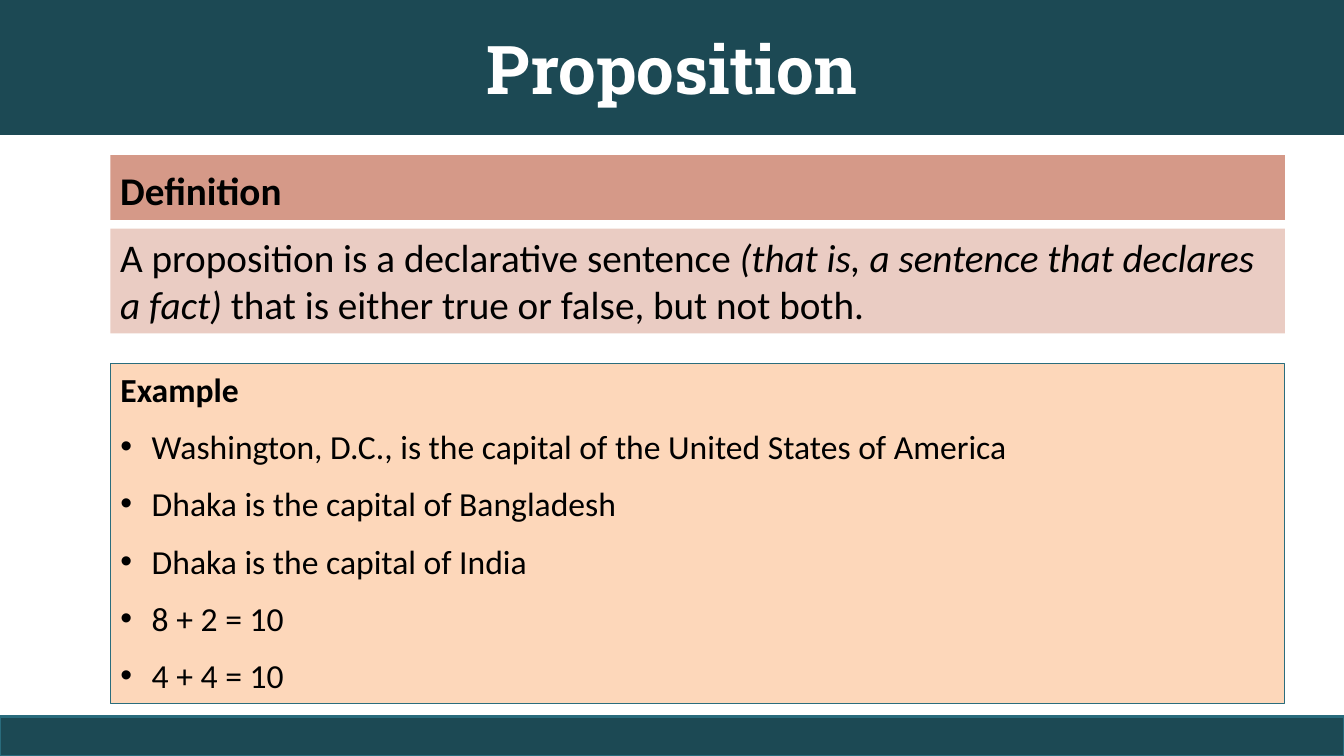
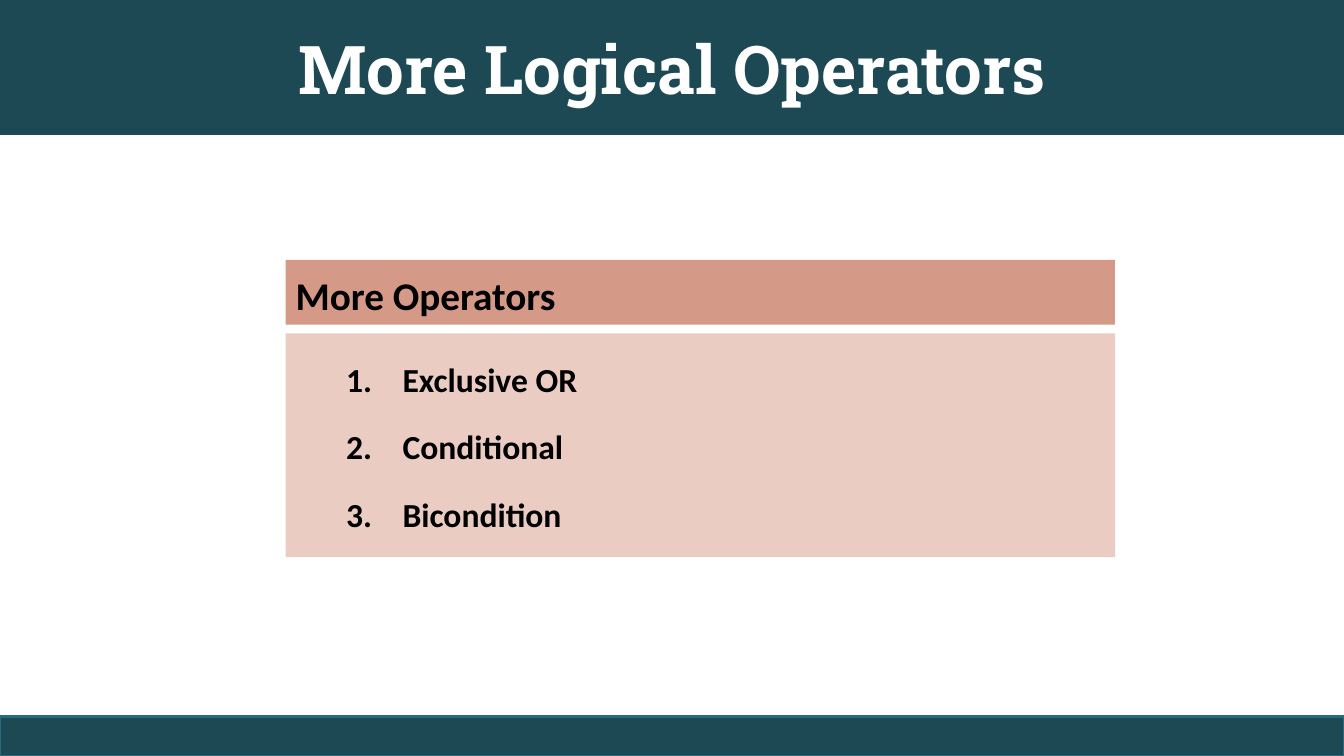
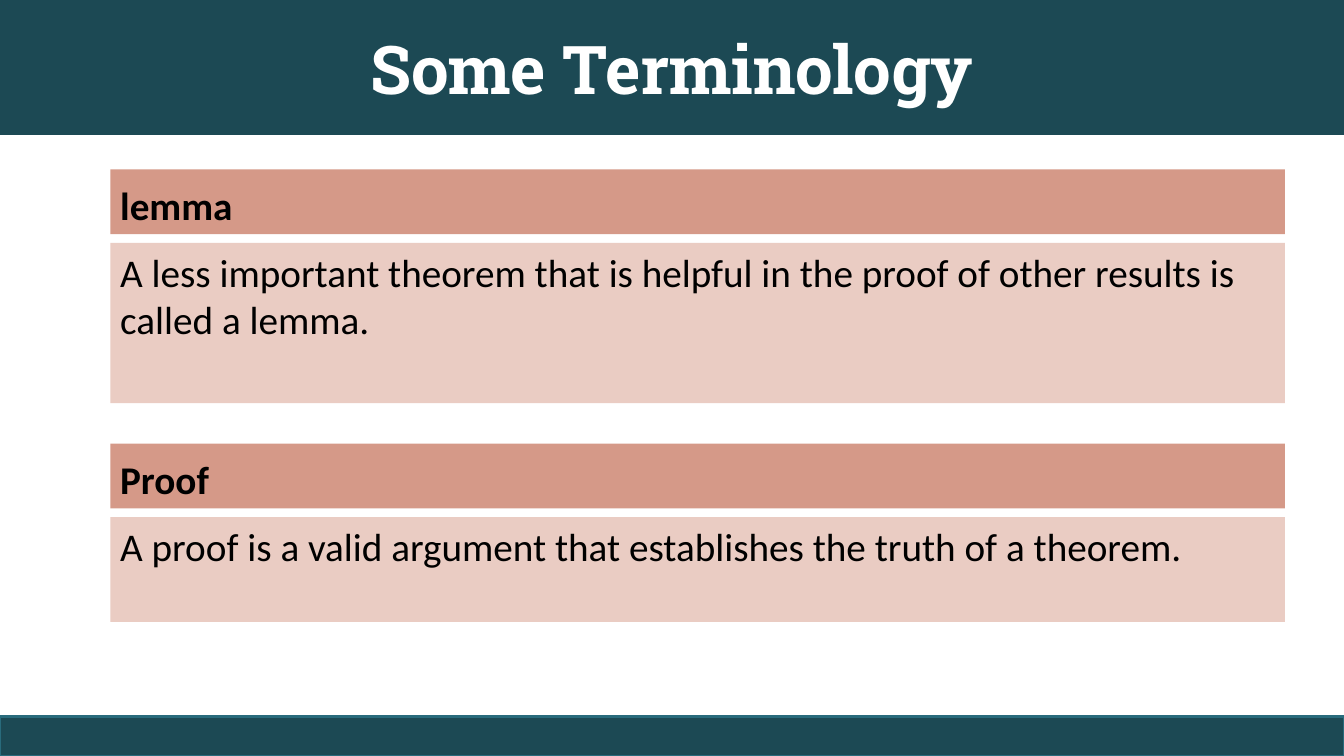
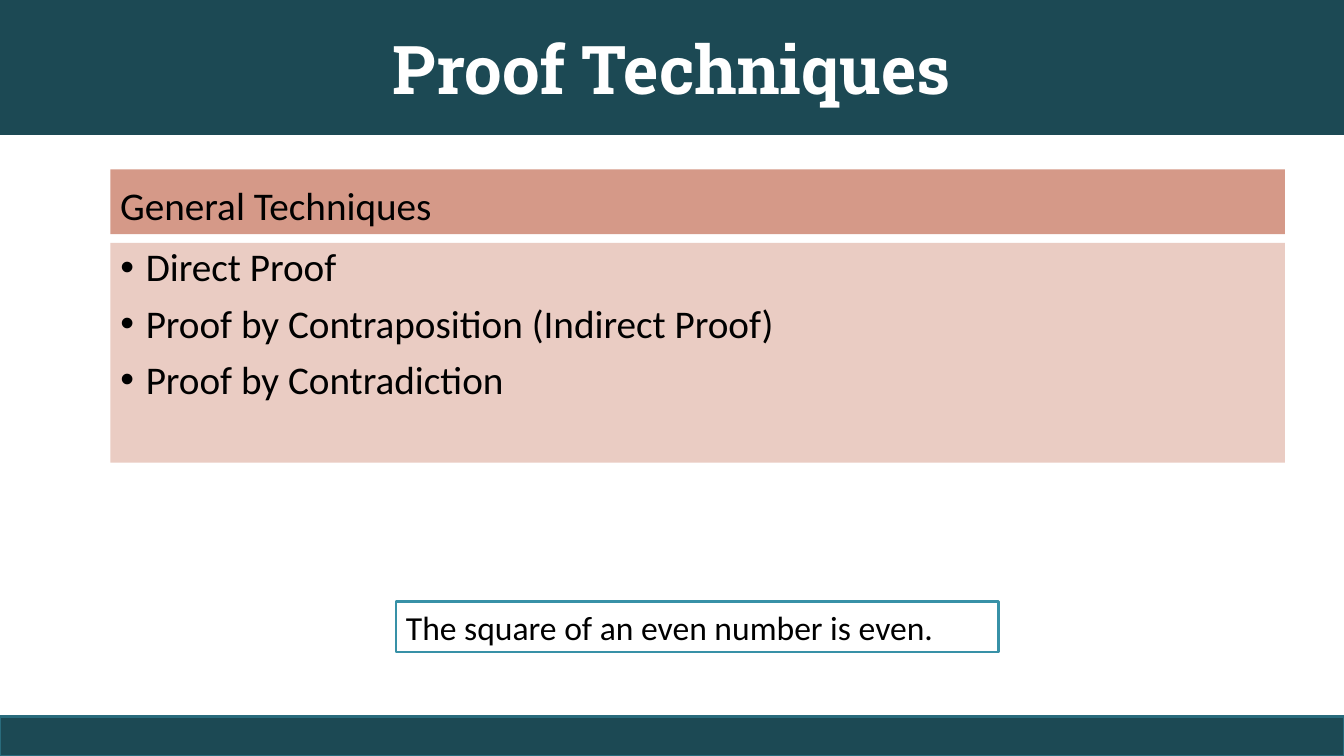
from lxml import etree
from pptx import Presentation
from pptx.dml.color import RGBColor
from pptx.enum.shapes import MSO_SHAPE as SHAPE
from pptx.enum.text import MSO_ANCHOR as ANCHOR, MSO_AUTO_SIZE as AUTO, PP_ALIGN as ALIGN
from pptx.oxml.ns import qn
from pptx.util import Cm, Pt

WIDTH, HEIGHT = 33.87, 19.05
TITLE_H, FOOTER_H = 3.4, 0.99
LEFT, CONTENT_W = 2.78, 29.6
HEADER_H, PANEL_DY = 1.63, 1.85


def rgb(value):
    return RGBColor.from_string(value)


class Deck:
    """Holds the shared style and the current slide."""
    BAND, BAND_LINE = "1C4954", "296B7C"
    HEADER, PANEL = "D59988", "EACCC3"
    EXAMPLE, EXAMPLE_LINE = "FDD7BA", "2A6D7D"
    NOTE_LINE, WHITE, BLACK = "3891A7", "FFFFFF", "000000"
    TITLE_FONT, BODY_FONT = "Roboto Slab", "Calibri"

    def __init__(self):
        self.prs = Presentation()
        self.prs.slide_width, self.prs.slide_height = Cm(WIDTH), Cm(HEIGHT)

    # Slide frame: title band and footer band
    def slide(self, title, has_list=True):
        layout = self.prs.slide_layouts[1 if has_list else 5]
        self.s = self.prs.slides.add_slide(layout)
        sp = self.s.shapes.title
        self.style(sp, (0, 0, WIDTH, TITLE_H), self.BAND)
        tf = sp.text_frame
        tf.vertical_anchor = ANCHOR.MIDDLE
        self.para(tf, title, 48, bold=True, font=self.TITLE_FONT,
                  color=self.WHITE, align=ALIGN.CENTER)
        self.box((0, HEIGHT - FOOTER_H, WIDTH, FOOTER_H), self.BAND, self.BAND_LINE, 2)

    # Position, fill, outline and text frame of any box
    def style(self, sp, at, fill, line=None, line_pt=1):
        sp.left, sp.top, sp.width, sp.height = map(Cm, at)
        sp.fill.solid()
        sp.fill.fore_color.rgb = rgb(fill)
        if line:
            sp.line.color.rgb = rgb(line)
            sp.line.width = Pt(line_pt)
        else:
            sp.line.fill.background()
        tf = sp.text_frame
        tf.word_wrap, tf.auto_size = True, AUTO.NONE
        tf.vertical_anchor = ANCHOR.TOP

    def box(self, at, fill, line=None, line_pt=1):
        sp = self.s.shapes.add_shape(SHAPE.RECTANGLE, *map(Cm, at))
        sp.shadow.inherit = False
        self.style(sp, at, fill, line, line_pt)
        return sp.text_frame

    # One paragraph; in a tuple of parts every second part is italic
    def para(self, tf, parts, size, bold=False, font=BODY_FONT, color=BLACK,
             align=ALIGN.LEFT, bullet=None, indent=0, hanging=0,
             before=0, after=0, spacing=1.0):
        first = not tf.text
        p = tf.paragraphs[0] if first else tf.add_paragraph()
        pPr = p._p.get_or_add_pPr()
        pPr.set("marL", str(Cm(indent)))
        pPr.set("indent", str(Cm(-hanging)))
        if bullet == "1.":
            etree.SubElement(pPr, qn("a:buFont")).set("typeface", font)
            etree.SubElement(pPr, qn("a:buAutoNum")).set("type", "arabicPeriod")
        elif bullet:
            etree.SubElement(pPr, qn("a:buFont")).set("typeface", "Arial")
            etree.SubElement(pPr, qn("a:buChar")).set("char", bullet)
        else:
            etree.SubElement(pPr, qn("a:buNone"))
        p.alignment, p.line_spacing = align, spacing
        p.space_before, p.space_after = Pt(0 if first else before), Pt(after)
        for i, text in enumerate([parts] if isinstance(parts, str) else parts):
            r = p.add_run()
            r.text = text
            r.font.name, r.font.size = font, Pt(size)
            r.font.bold, r.font.italic = bold, i % 2 == 1
            r.font.color.rgb = rgb(color)

    # Header bar above a panel
    def header(self, text, top, left=LEFT, width=CONTENT_W, bold=True):
        tf = self.box((left, top, width, HEADER_H), self.HEADER)
        self.para(tf, text, 28, bold=bold, spacing=1.14)

    def definition(self, term, parts, top, height):
        self.header(term, top)
        tf = self.box((LEFT, top + PANEL_DY, CONTENT_W, height), self.PANEL)
        self.para(tf, parts, 28, after=6)

    # List in the body placeholder
    def items(self, texts, at, size, fill=PANEL, line=None, line_pt=1,
              heading=None, **fmt):
        sp = self.s.placeholders[1]
        self.style(sp, at, fill, line, line_pt)
        if heading:
            self.para(sp.text_frame, heading, size, bold=True, after=6)
        for text in texts:
            self.para(sp.text_frame, text, size, **fmt)

    def note(self, text, at):
        tf = self.box(at, self.WHITE, self.NOTE_LINE, 2)
        self.para(tf, text, 24, after=6)


def main():
    d = Deck()

    # Proposition
    d.slide("Proposition")
    d.definition("Definition",
                 ("A proposition is a declarative sentence ",
                  "(that is, a sentence that declares a fact)",
                  " that is either true or false, but not both."), 3.91, 2.64)
    d.items(["Washington, D.C., is the capital of the United States of America",
             "Dhaka is the capital of Bangladesh",
             "Dhaka is the capital of India",
             "8 + 2 = 10",
             "4 + 4 = 10"],
            (LEFT, 9.17, CONTENT_W, 8.56), 24, d.EXAMPLE, d.EXAMPLE_LINE, 0.75,
            heading="Example", bullet="•", indent=0.79, hanging=0.79,
            before=6, after=6)

    # More logical operators
    d.slide("More Logical Operators")
    left, top, width = 7.2, 6.55, 20.9
    d.header("More Operators", top, left, width)
    d.items(["Exclusive OR", "Conditional", "Bicondition"],
            (left, top + PANEL_DY, width, 5.64), 24, bold=True, bullet="1.",
            indent=2.69, hanging=1.42, before=5, spacing=1.5)

    # Terminology
    d.slide("Some Terminology", has_list=False)
    d.definition("lemma", "A less important theorem that is helpful in the proof "
                 "of other results is called a lemma.", 4.27, 4.04)
    d.definition("Proof", "A proof is a valid argument that establishes the truth "
                 "of a theorem.", 11.18, 2.64)

    # Proof techniques
    d.slide("Proof Techniques")
    top = 4.27
    d.header("General Techniques", top, bold=False)
    d.items(["Direct Proof", "Proof by Contraposition (Indirect Proof)",
             "Proof by Contradiction"],
            (LEFT, top + PANEL_DY, CONTENT_W, 5.54), 28, bullet="•",
            indent=0.64, hanging=0.64, before=10, spacing=0.9)
    d.note("The square of an even number is even.", (9.98, 15.16, 15.19, 1.27))

    d.prs.save("out.pptx")


if __name__ == "__main__":
    main()
